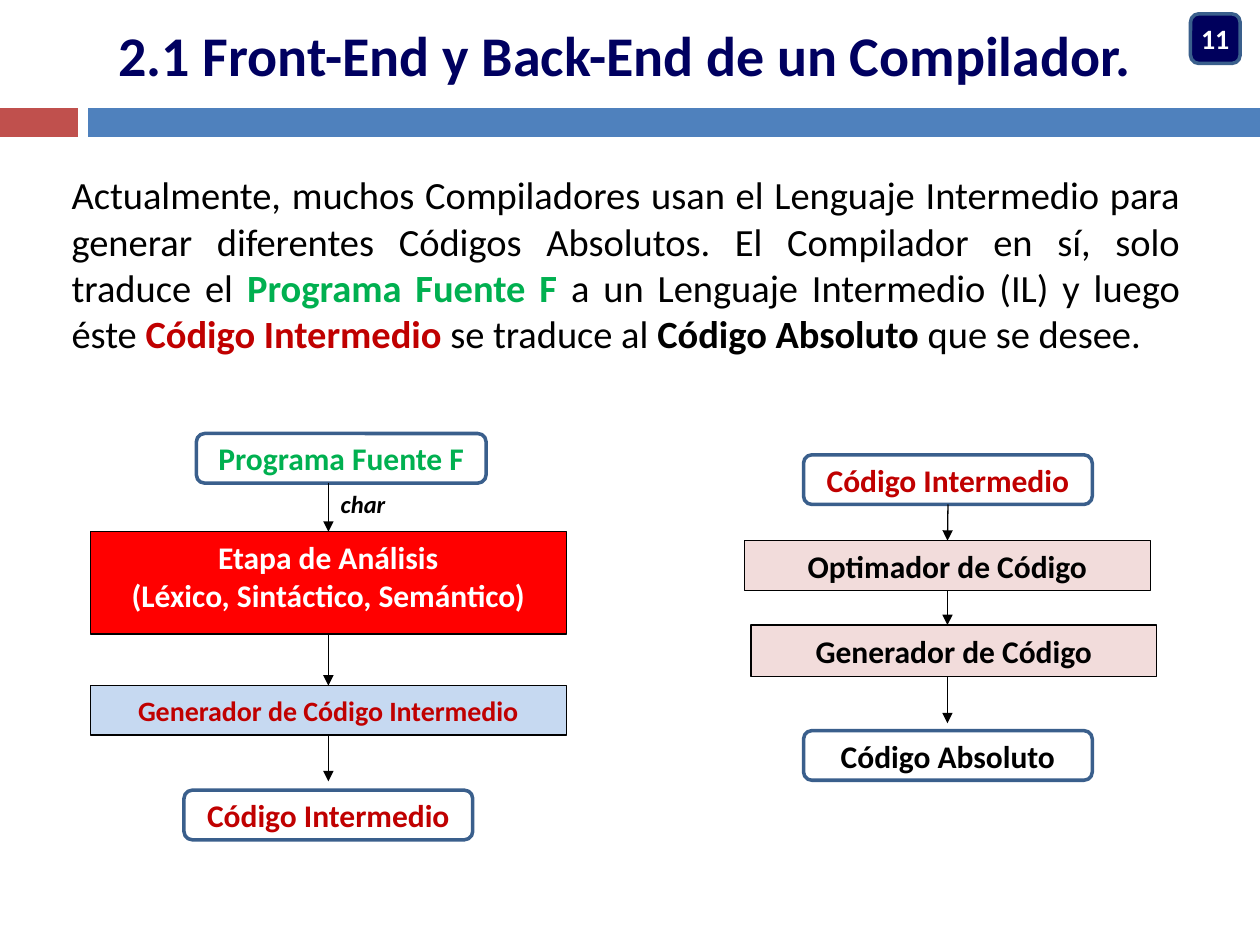
from lxml import etree
from pptx import Presentation
from pptx import util as u
from pptx.dml.color import RGBColor
from pptx.enum import shapes, text
from pptx.oxml.ns import qn

COLORS = {
    "title": "000060", "badge": "00005C", "outline": "3A5F8C",
    "red_bar": "C0504D", "blue_bar": "4F81BD", "black": "000000",
    "white": "FFFFFF", "green": "00B050", "crimson": "C00000",
    "red": "FF0000", "pale_blue": "C6D9F1", "pink": "F2DCDB",
}
TITLE = "2.1 Front-End y Back-End de un Compilador."
BODY = [
    ("Actualmente, muchos Compiladores usan el Lenguaje Intermedio para generar "
     "diferentes Códigos Absolutos. El Compilador en sí, solo traduce el ", "black", False),
    ("Programa Fuente F", "green", True),
    (" a un Lenguaje Intermedio (IL) y luego éste ", "black", False),
    ("Código Intermedio", "crimson", True),
    (" se traduce al ", "black", False),
    ("Código Absoluto", "black", True),
    (" que se desee.", "black", False),
]
# left, top, width, height in centimetres, fill
BARS = [(0, 2.18, 1.57, 0.58, "red_bar"), (1.78, 2.18, 23.62, 0.58, "blue_bar")]
# name: (place, lines, text colour)
CODES = {
    "source": ((3.96, 8.74, 5.84, 1), "Programa Fuente F", "green"),
    "front result": ((3.71, 15.93, 5.82, 1), "Código Intermedio", "crimson"),
    "back input": ((16.2, 9.17, 5.82, 1), "Código Intermedio", "crimson"),
    "absolute": ((16.2, 14.73, 5.82, 1), "Código Absoluto", "black"),
}
# name: (place, lines, text colour, fill, size, anchor)
STAGES = {
    "analysis": ((1.82, 10.72, 9.6, 2.06),
                 "Etapa de Análisis\n(Léxico, Sintáctico, Semántico)", "white", "red", 18, "TOP"),
    "intermediate": ((1.82, 13.82, 9.6, 1),
                     "Generador de Código Intermedio", "crimson", "pale_blue", 16, "MIDDLE"),
    "optimizer": ((15.01, 10.9, 8.18, 1), "Optimador de Código", "black", "pink", 18, "MIDDLE"),
    "generator": ((15.14, 12.6, 8.18, 1.04), "Generador de Código", "black", "pink", 18, "MIDDLE"),
}
FRONT_X, BACK_X = 6.62, 19.1
# x, top, bottom, box joined at the start, box joined at the end
ARROWS = [
    (FRONT_X, 9.73, 10.72, None, "analysis"),
    (FRONT_X, 12.78, 13.82, "analysis", "intermediate"),
    (FRONT_X, 14.82, 15.75, "intermediate", None),
    (BACK_X, 10.17, 10.9, "back input", "optimizer"),
    (BACK_X, 11.9, 12.6, "optimizer", None),
    (BACK_X, 13.65, 14.58, None, None),
]


def color(name):
    return RGBColor.from_string(COLORS[name])


def place(shape, area):
    shape.left, shape.top, shape.width, shape.height = map(u.Cm, area)


def write(shape, spans, size=18, align="CENTER", anchor="MIDDLE", wrap=True,
          italic=False, margins=None):
    """Fill a shape with (text, colour, bold) spans; a line end starts a paragraph."""
    frame = shape.text_frame
    frame.auto_size = text.MSO_AUTO_SIZE.NONE
    frame.word_wrap = wrap
    frame.vertical_anchor = text.MSO_ANCHOR[anchor]
    if margins:
        frame.margin_left = frame.margin_right = u.Cm(margins[0])
        frame.margin_top = frame.margin_bottom = u.Cm(margins[1])
    para = frame.paragraphs[0]
    para.space_before = u.Pt(0)
    para.alignment = text.PP_ALIGN[align]
    for words, ink, bold in spans:
        for index, line in enumerate(words.split("\n")):
            if index:
                para = frame.add_paragraph()
                para.alignment = text.PP_ALIGN[align]
            span = para.add_run()
            span.text = line
            font = span.font
            font.name, font.size = "Calibri", u.Pt(size)
            font.bold, font.italic = bold, italic
            font.color.rgb = color(ink)


def add_box(page, kind, area, fill, line=None, width=0.75):
    box = page.shapes.add_shape(shapes.MSO_SHAPE[kind], *map(u.Cm, area))
    box.shadow.inherit = False
    box.fill.solid()
    box.fill.fore_color.rgb = color(fill)
    if line:
        box.line.color.rgb = color(line)
        box.line.width = u.Pt(width)
    else:
        box.line.fill.background()
    return box


def add_arrow(page, x, top, bottom, start, end):
    arrow = page.shapes.add_connector(
        shapes.MSO_CONNECTOR.STRAIGHT, *map(u.Cm, (x, top, x, bottom)))
    if start:
        arrow.begin_connect(start, 2)
    if end:
        arrow.end_connect(end, 0)
    arrow.line.color.rgb = color("black")
    arrow.line.width = u.Pt(0.75)
    etree.SubElement(arrow.line._get_or_add_ln(), qn("a:tailEnd"), type="triangle")
    etree.SubElement(arrow._element.spPr, qn("a:effectLst"))


def main():
    deck = Presentation()
    deck.slide_width, deck.slide_height = u.Cm(25.4), u.Cm(19.05)
    page = deck.slides.add_slide(deck.slide_layouts[1])

    for *area, fill in BARS:
        add_box(page, "RECTANGLE", area, fill)

    title, body = page.placeholders
    place(title, (0, 0, 25.2, 2.18))
    write(title, [(TITLE, "title", True)], size=32, margins=(0, 0))

    place(body, (1.19, 3.33, 22.86, 4.19))
    properties = body.text_frame.paragraphs[0]._p.get_or_add_pPr()
    properties.set("marL", "0")
    properties.set("indent", "0")
    etree.SubElement(properties, qn("a:buNone"))
    write(body, BODY, size=22, align="JUSTIFY", anchor="TOP")

    badge = add_box(page, "ROUNDED_RECTANGLE", (24, 0.28, 1, 1), "badge", "outline", 2)
    write(badge, [("11", "white", True)], size=16, margins=(0, 0.13))

    boxes = {}
    for name, (area, words, ink, fill, size, anchor) in STAGES.items():
        boxes[name] = add_box(page, "RECTANGLE", area, fill, "black")
        write(boxes[name], [(words, ink, True)], size=size, anchor=anchor, wrap=False)
    for name, (area, words, ink) in CODES.items():
        boxes[name] = add_box(page, "ROUNDED_RECTANGLE", area, "white", "outline", 2)
        write(boxes[name], [(words, ink, True)])

    for x, top, bottom, start, end in ARROWS:
        add_arrow(page, x, top, bottom, boxes.get(start), boxes.get(end))

    label = page.shapes.add_textbox(*map(u.Cm, (FRONT_X, 9.73, 1.55, 0.84)))
    write(label, [("char", "black", True)], size=14, align="LEFT", anchor="TOP",
          wrap=False, italic=True)

    deck.save("out.pptx")


if __name__ == "__main__":
    main()
